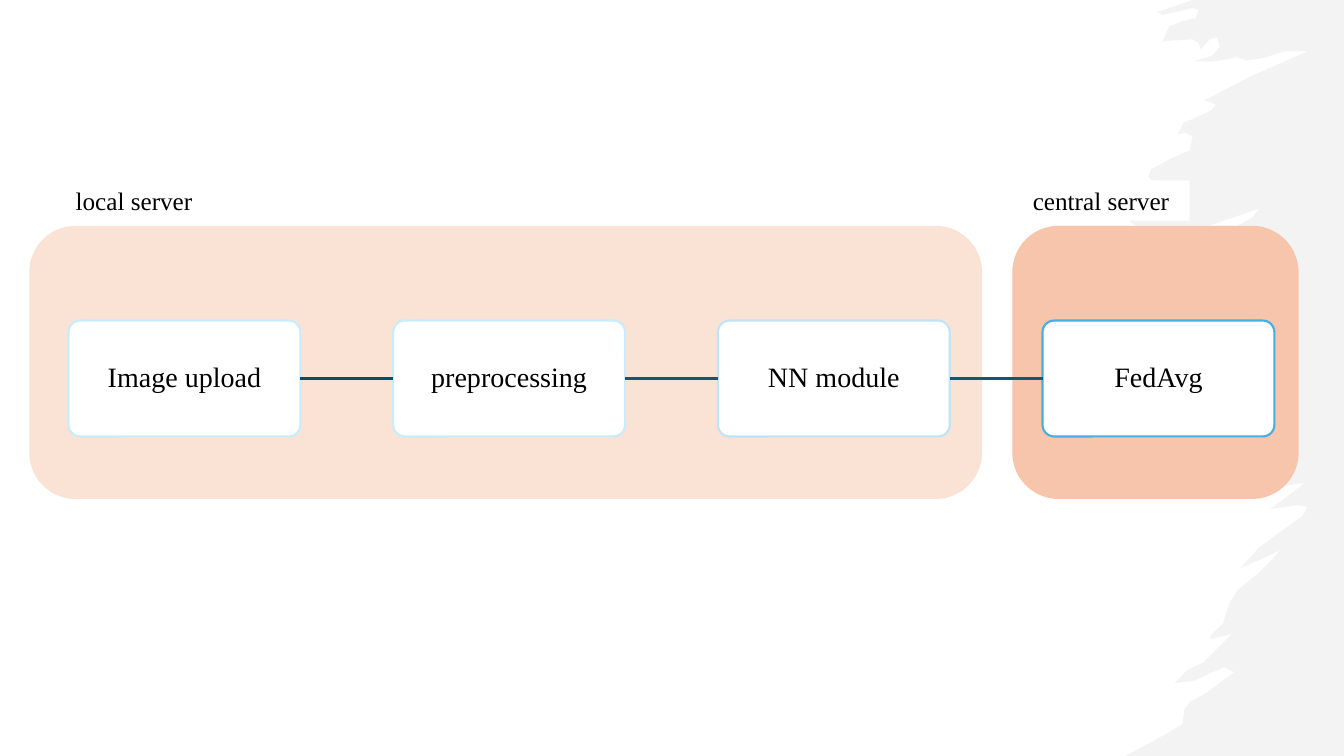
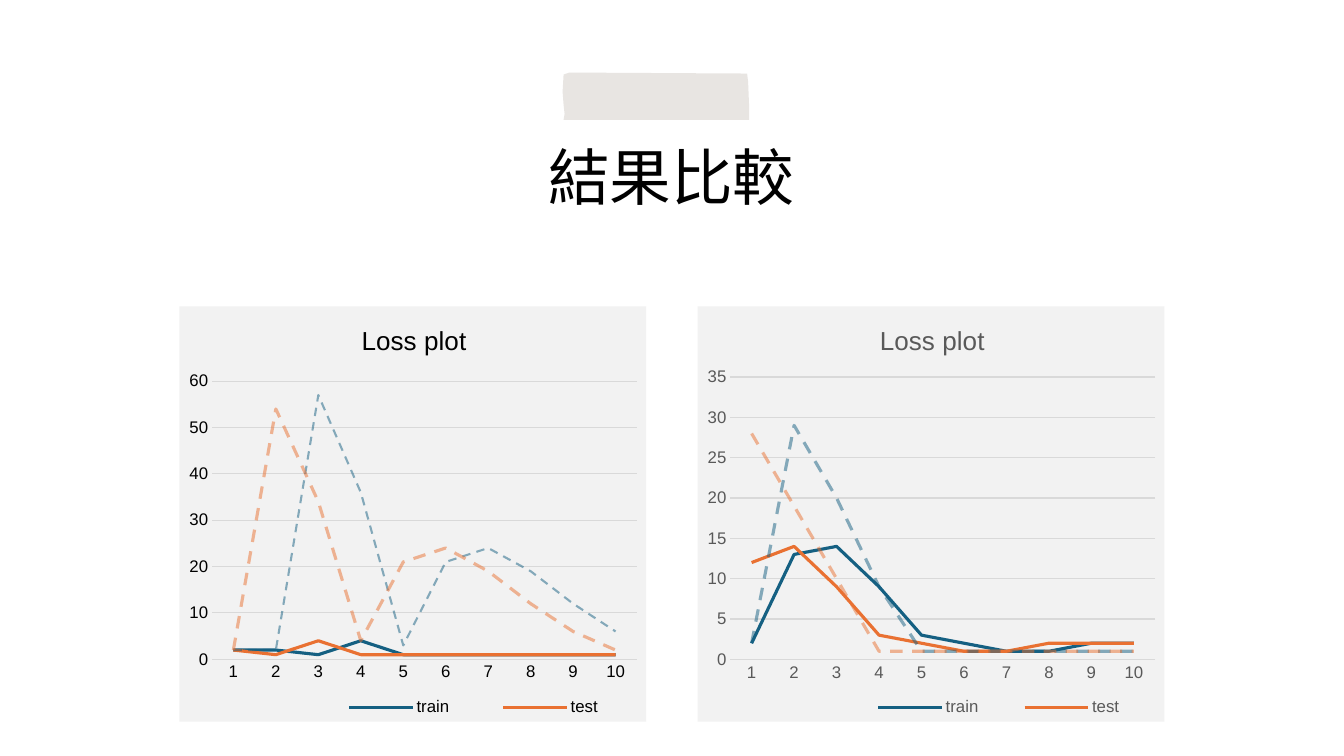
"""Build two slides: a federated learning pipeline and a comparison of loss plots."""
from dataclasses import dataclass
from itertools import pairwise

from lxml import etree
from pptx import Presentation
from pptx import util as u
from pptx.chart import chart as charts
from pptx.chart import data as chart_data
from pptx.dml import color as colors
from pptx.dml import fill as fills
from pptx.enum import chart as chart_enum
from pptx.enum import dml, shapes, text
from pptx.oxml import ns
from pptx.shapes import autoshape
from pptx.slide import Slide
from pptx.text import text as texts


@dataclass(frozen=True)
class Theme:
    ink: str = "000000"
    muted: str = "595959"
    white: str = "FFFFFF"
    brush: str = "E8E8E8"
    tape: str = "D9D4D0"
    local: str = "FAE2D5"
    central: str = "F6C5AB"
    panel: str = "F2F2F2"
    grid: str = "D9D9D9"
    train: str = "156082"
    test: str = "E97132"
    flow_font: str = "Times New Roman"
    title_font: str = "Calibri"
    chart_font: str = "Arial"
    title_size: float = 44
    step_size: float = 20
    label_size: float = 18
    chart_title_size: float = 18.6
    axis_size: float = 12


@dataclass(frozen=True)
class Zone:
    label: str
    label_left: float
    left: float
    width: float
    fill: str


@dataclass(frozen=True)
class Step:
    label: str
    border: str


@dataclass(frozen=True)
class Curve:
    name: str
    values: tuple[int, ...]
    color: str
    width: float = 2.25
    dashed: bool = False


@dataclass(frozen=True)
class LossPlot:
    left: float
    color: str
    top_value: int
    step: int
    plot_y: float
    legend_x: float
    legend_width: float
    curves: tuple[Curve, ...]


THEME = Theme()

ZONES = (
    Zone("local server", 0.45, 0.29, 9.45, THEME.local),
    Zone("central server", 10.04, 10.04, 2.84, THEME.central),
)
STEPS = (
    Step("Image upload", "C7EDFC"),
    Step("preprocessing", "C7EDFC"),
    Step("NN module", "C0E4F5"),
    Step("FedAvg", "43AFE2"),
)
LINK_COLORS = ("0D4C67", "105675", "105675")

BRUSH = (
    (13.33, 0), (11.83, 0), (11.48, 0.12), (11.53, 0.15), (11.83, 0.08), (11.89, 0.1),
    (11.86, 0.18), (11.73, 0.21), (11.6, 0.26), (11.53, 0.41), (11.83, 0.39), (11.89, 0.43),
    (11.91, 0.49), (12, 0.39), (12.07, 0.37), (12.1, 0.46), (12.03, 0.55), (11.84, 0.61),
    (12.04, 0.61), (12.27, 0.57), (12.36, 0.6), (12.51, 0.58), (12.74, 0.51), (12.97, 0.51),
    (12.4, 0.76), (11.94, 1), (11.99, 1.01), (12.06, 1.04), (12.01, 1.1), (11.74, 1.22),
    (11.68, 1.33), (11.76, 1.32), (11.83, 1.35), (11.8, 1.49), (11.62, 1.57), (11.42, 1.68),
    (11.39, 1.75), (11.43, 1.79), (11.56, 1.81), (11.39, 2.02), (11.32, 2.08), (11.21, 2.17),
    (11.21, 2.2), (11.36, 2.3), (11.62, 2.27), (11.23, 2.42), (11.85, 2.29), (12.49, 2.07),
    (12.42, 2.16), (11.97, 2.4), (11.85, 2.54), (11.72, 2.63), (11.53, 2.63), (11.4, 2.75),
    (11.53, 2.78), (11.69, 2.76), (11.87, 2.8), (12.04, 2.77), (12.23, 2.79), (12.3, 2.94),
    (12.32, 2.96), (12.68, 3.2), (12.79, 3.22), (12.18, 3.64), (12.59, 3.53), (12.64, 3.71),
    (12.45, 3.87), (12.38, 4.19), (12.42, 4.47), (12.5, 4.56), (12.62, 4.73), (12.69, 4.83),
    (12.94, 4.79), (12.79, 4.91), (12.6, 5.05), (12.88, 5.01), (12.97, 5.03), (12.92, 5.12),
    (12.72, 5.26), (12.48, 5.44), (12.3, 5.64), (12.7, 5.46), (12.5, 5.67), (12.28, 5.85),
    (12.19, 5.99), (12.13, 6.19), (12, 6.31), (12.01, 6.34), (12.22, 6.29), (11.94, 6.57),
    (11.77, 6.65), (11.65, 6.78), (11.85, 6.75), (12.14, 6.62), (12.24, 6.67), (11.97, 6.87),
    (11.81, 6.96), (11.75, 7.03), (11.73, 7.18), (11.57, 7.28), (11.16, 7.5), (13.33, 7.5),
)
TAPE = (
    (5.59, 0.74), (5.65, 0.72), (7.41, 0.73), (7.42, 0.81), (7.43, 1.06), (7.43, 1.19),
    (7.33, 1.19), (5.59, 1.19), (5.6, 1.13), (5.59, 1.04), (5.58, 0.91),
)
PLOTS = (
    LossPlot(1.78, THEME.ink, 60, 10, 0.18, 0.26, 0.74, (
        Curve("train", (2, 2, 1, 4, 1, 1, 1, 1, 1, 1), THEME.train),
        Curve("test", (2, 1, 4, 1, 1, 1, 1, 1, 1, 1), THEME.test),
        Curve("CNNtrain", (2, 2, 57, 36, 3, 21, 24, 19, 12, 6), THEME.train, 1.5, True),
        Curve("CNNtest", (2, 54, 34, 4, 21, 24, 19, 12, 6, 2), THEME.test, dashed=True),
    )),
    LossPlot(6.92, THEME.muted, 35, 5, 0.17, 0.3, 0.69, (
        Curve("train", (2, 13, 14, 9, 3, 2, 1, 1, 2, 2), THEME.train),
        Curve("test", (12, 14, 9, 3, 2, 1, 1, 2, 2, 2), THEME.test),
        Curve("CNNtrain", (2, 29, 20, 9, 1, 1, 1, 1, 1, 1), THEME.train, dashed=True),
        Curve("CNNtest", (28, 19, 10, 1, 1, 1, 1, 1, 1, 1), THEME.test, dashed=True),
    )),
)


def rgb(value: str) -> colors.RGBColor:
    return colors.RGBColor.from_string(value)


def paint(fill: fills.FillFormat, color: str) -> None:
    fill.solid()
    fill.fore_color.rgb = rgb(color)


def set_opacity(element: etree._Element, percent: int) -> None:
    for color in element.iter(ns.qn("a:srgbClr")):
        etree.SubElement(color, ns.qn("a:alpha"), val=str(percent * 1000))


def style_font(font: texts.Font, name: str, size: float, color: str) -> None:
    font.name = name
    font.size = u.Pt(size)
    font.bold = False
    font.color.rgb = rgb(color)


def write(frame: texts.TextFrame, content: str, font: str, size: float,
          spacing: float = 1) -> None:
    frame.text = content
    frame.word_wrap = True
    frame.vertical_anchor = text.MSO_ANCHOR.MIDDLE
    para = frame.paragraphs[0]
    para.alignment = text.PP_ALIGN.CENTER
    para.line_spacing = spacing
    style_font(para.font, font, size, THEME.ink)


def add_box(page: Slide, left: float, top: float, width: float, height: float, fill: str,
            radius: float = 0, border: str | None = None) -> autoshape.Shape:
    kind = shapes.MSO_SHAPE.ROUNDED_RECTANGLE if radius else shapes.MSO_SHAPE.RECTANGLE
    box = page.shapes.add_shape(kind, u.Inches(left), u.Inches(top),
                                u.Inches(width), u.Inches(height))
    box.shadow.inherit = False
    paint(box.fill, fill)
    if radius:
        box.adjustments[0] = radius
    if border:
        box.line.color.rgb = rgb(border)
        box.line.width = u.Pt(1.5)
    else:
        box.line.fill.background()
    return box


def add_outline(page: Slide, points: tuple[tuple[float, float], ...], color: str,
                opacity: int) -> None:
    start, *rest = [(u.Inches(x), u.Inches(y)) for x, y in points]
    builder = page.shapes.build_freeform(*start)
    builder.add_line_segments(rest, close=True)
    outline = builder.convert_to_shape()
    outline.shadow.inherit = False
    outline.line.fill.background()
    paint(outline.fill, color)
    set_opacity(outline._element.spPr, opacity)


def add_link(page: Slide, source: autoshape.Shape, target: autoshape.Shape,
             color: str) -> None:
    link = page.shapes.add_connector(shapes.MSO_CONNECTOR.STRAIGHT, 0, 0, 0, 0)
    link.begin_connect(source, 3)
    link.end_connect(target, 1)
    link.line.color.rgb = rgb(color)
    link.line.width = u.Pt(1.5)
    etree.SubElement(link._element.spPr, ns.qn("a:effectLst"))


def make_layout(inner: bool = False, **position: float) -> etree._Element:
    layout = etree.Element(ns.qn("c:layout"))
    manual = etree.SubElement(layout, ns.qn("c:manualLayout"))
    settings = {"layoutTarget": "inner"} if inner else {}
    settings |= {"xMode": "edge", "yMode": "edge"}
    settings |= {name: str(value) for name, value in position.items()}
    for name, value in settings.items():
        etree.SubElement(manual, ns.qn(f"c:{name}"), val=value)
    return layout


def place(parent: etree._Element, layout: etree._Element, after: str | None = None) -> None:
    for old in parent.findall(ns.qn("c:layout")):
        parent.remove(old)
    if after:
        parent.findall(ns.qn(after))[-1].addnext(layout)
    else:
        parent.insert(0, layout)


def style_axes(chart: charts.Chart, plot: LossPlot) -> None:
    for axis in (chart.category_axis, chart.value_axis):
        axis.major_tick_mark = chart_enum.XL_TICK_MARK.NONE
        style_font(axis.tick_labels.font, THEME.chart_font, THEME.axis_size, plot.color)
    chart.category_axis.format.line.color.rgb = rgb(THEME.grid)
    values = chart.value_axis
    values.minimum_scale, values.maximum_scale = 0, plot.top_value
    values.major_unit = plot.step
    values.format.line.fill.background()
    values.major_gridlines.format.line.color.rgb = rgb(THEME.grid)
    values.major_gridlines.format.line.width = u.Pt(0.75)


def style_legend(chart: charts.Chart, plot: LossPlot) -> None:
    chart.has_legend = True
    legend = chart.legend
    legend.position = chart_enum.XL_LEGEND_POSITION.BOTTOM
    legend.include_in_layout = False
    style_font(legend.font, THEME.chart_font, THEME.axis_size, plot.color)
    element = legend._element
    place(element, make_layout(x=plot.legend_x, y=0.93, w=plot.legend_width, h=0.07),
          "c:legendPos")
    position = element.find(ns.qn("c:legendPos"))
    for index in reversed([i for i, curve in enumerate(plot.curves) if curve.dashed]):
        entry = etree.Element(ns.qn("c:legendEntry"))
        etree.SubElement(entry, ns.qn("c:idx"), val=str(index))
        etree.SubElement(entry, ns.qn("c:delete"), val="1")
        position.addnext(entry)


def add_loss_plot(page: Slide, plot: LossPlot) -> None:
    data = chart_data.CategoryChartData()
    data.categories = [str(epoch) for epoch in range(1, 11)]
    for curve in plot.curves:
        data.add_series(curve.name, curve.values)
    chart = page.shapes.add_chart(chart_enum.XL_CHART_TYPE.LINE, u.Inches(plot.left),
                                  u.Inches(3.04), u.Inches(4.63), u.Inches(4.12), data).chart
    style_font(chart.font, THEME.chart_font, 10, THEME.ink)
    chart.plots[0].vary_by_categories = False
    for series, curve in zip(chart.plots[0].series, plot.curves):
        series.smooth = False
        line = series.format.line
        line.color.rgb = rgb(curve.color)
        line.width = u.Pt(curve.width)
        if curve.dashed:
            line.dash_style = dml.MSO_LINE.DASH
            set_opacity(series._element, 50)
    title = chart.chart_title
    title.text_frame.text = "Loss plot"
    style_font(title.text_frame.paragraphs[0].font, THEME.chart_font,
               THEME.chart_title_size, plot.color)
    place(title._element, make_layout(x=0.38, y=0.03), "c:tx")
    style_axes(chart, plot)
    style_legend(chart, plot)
    body = chart.element.find(ns.qn("c:chart"))
    place(body.find(ns.qn("c:plotArea")),
          make_layout(True, x=0.07, y=plot.plot_y, w=0.91, h=round(0.85 - plot.plot_y, 2)))
    panel = etree.Element(ns.qn("c:spPr"))
    fill = etree.SubElement(panel, ns.qn("a:solidFill"))
    etree.SubElement(fill, ns.qn("a:srgbClr"), val=THEME.panel)
    border = etree.SubElement(panel, ns.qn("a:ln"))
    etree.SubElement(border, ns.qn("a:noFill"))
    body.addnext(panel)


def build_pipeline(page: Slide) -> None:
    add_outline(page, BRUSH, THEME.brush, 50)
    for zone in ZONES:
        add_box(page, zone.left, 2.24, zone.width, 2.71, zone.fill, 0.17)
        label = add_box(page, zone.label_left, 1.79, 1.76, 0.4, THEME.white)
        write(label.text_frame, zone.label, THEME.flow_font, THEME.label_size)
    boxes = []
    for index, step in enumerate(STEPS):
        box = add_box(page, 0.68 + 3.22 * index, 3.18, 2.3, 1.15, THEME.white, 0.1, step.border)
        write(box.text_frame, step.label, THEME.flow_font, THEME.step_size, 0.9)
        boxes.append(box)
    for (source, target), color in zip(pairwise(boxes), LINK_COLORS):
        add_link(page, source, target, color)


def build_comparison(page: Slide) -> None:
    title = page.shapes.title
    title.left, title.top = u.Inches(1.78), u.Inches(1.22)
    title.width, title.height = u.Inches(9.76), u.Inches(1.14)
    write(title.text_frame, "結果比較", THEME.title_font, THEME.title_size, 0.9)
    add_outline(page, TAPE, THEME.tape, 60)
    for plot in PLOTS:
        add_loss_plot(page, plot)


def main() -> None:
    deck = Presentation()
    deck.slide_width, deck.slide_height = u.Inches(13.33), u.Inches(7.5)
    build_pipeline(deck.slides.add_slide(deck.slide_layouts[6]))
    build_comparison(deck.slides.add_slide(deck.slide_layouts[5]))
    deck.save("out.pptx")


if __name__ == "__main__":
    main()
